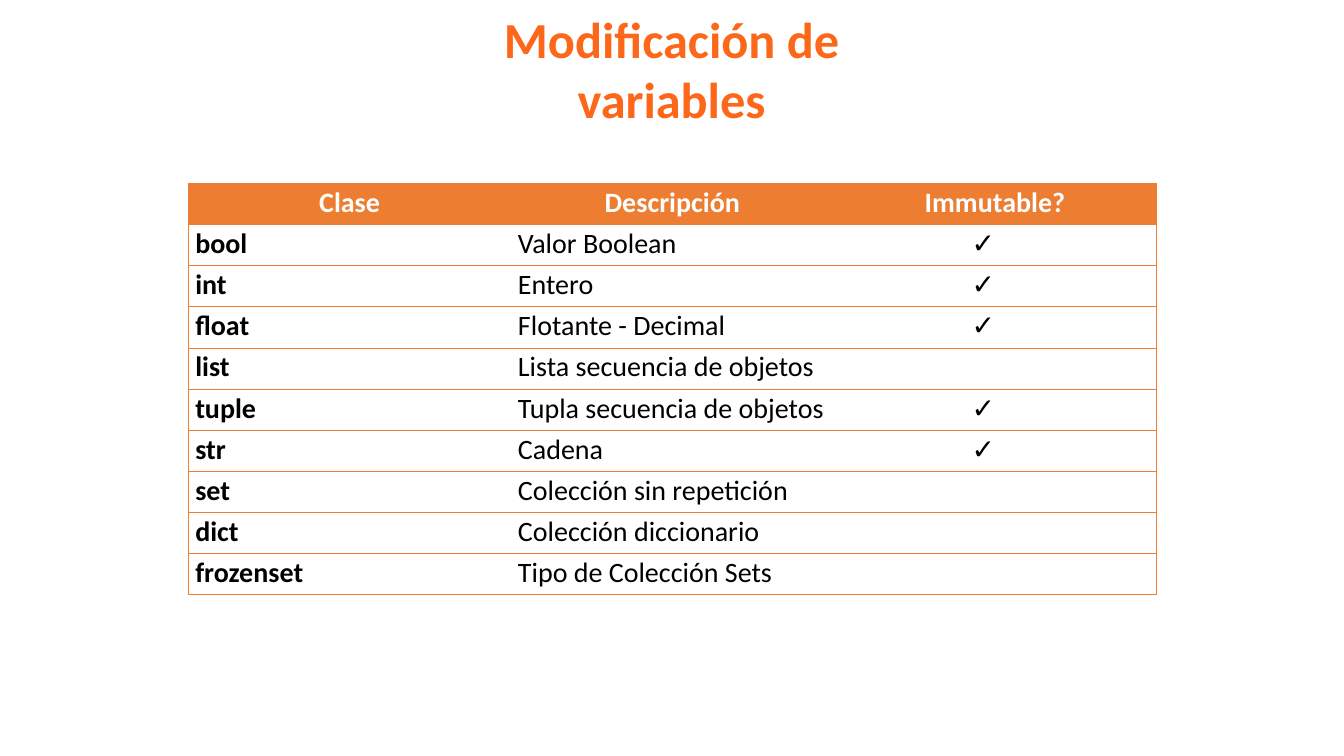
import dataclasses
import typing

import pptx
import pptx.dml.color
import pptx.enum.text
import pptx.oxml.ns
import pptx.util
from lxml import etree

Pt = pptx.util.Pt
RGBColor = pptx.dml.color.RGBColor
Align = pptx.enum.text.PP_ALIGN
Anchor = pptx.enum.text.MSO_ANCHOR

ORANGE = RGBColor(0xED, 0x7D, 0x31)
TITLE_ORANGE = RGBColor(0xFC, 0x67, 0x1A)
WHITE = RGBColor(0xFF, 0xFF, 0xFF)
BLACK = RGBColor(0, 0, 0)

FONT = "Calibri"
CHECK = "✓"
CELL_MARGIN = 5
CHECK_MARGIN = 21.5
COLUMN_WIDTH = 230.5
ROW_HEIGHT = 29.38
TABLE_LEFT = 134.5
TABLE_TOP = 131


@dataclasses.dataclass(frozen=True)
class PythonClass:
    name: str
    description: str
    immutable: bool


HEADERS = ("Clase", "Descripción", "Immutable?")
CLASSES = (
    PythonClass("bool", "Valor Boolean", True),
    PythonClass("int", "Entero", True),
    PythonClass("float", "Flotante - Decimal", True),
    PythonClass("list", "Lista secuencia de objetos", False),
    PythonClass("tuple", "Tupla secuencia de objetos", True),
    PythonClass("str", "Cadena", True),
    PythonClass("set", "Colección sin repetición", False),
    PythonClass("dict", "Colección diccionario", False),
    PythonClass("frozenset", "Tipo de Colección Sets", False),
)


def write_text(text_frame: typing.Any, text: str, *, size: float = 20,
               color: RGBColor = BLACK, bold: bool = False,
               align: Align = Align.CENTER, line_spacing: float = 1.07) -> None:
    paragraph = text_frame.paragraphs[0]
    paragraph.alignment = align
    paragraph.line_spacing = line_spacing
    paragraph.font.size = Pt(size)
    if not text:
        return
    run = paragraph.add_run()
    run.text = text
    run.font.name = FONT
    run.font.size = Pt(size)
    run.font.bold = bold
    run.font.color.rgb = color


def set_borders(cell: typing.Any, visible_sides: str) -> None:
    properties = cell._tc.get_or_add_tcPr()
    for side in "LRTB":
        line = etree.SubElement(properties, pptx.oxml.ns.qn(f"a:ln{side}"))
        if side in visible_sides:
            line.set("w", str(Pt(0.5)))
            fill = etree.SubElement(line, pptx.oxml.ns.qn("a:solidFill"))
            etree.SubElement(fill, pptx.oxml.ns.qn("a:srgbClr"), val=str(ORANGE))
        else:
            etree.SubElement(line, pptx.oxml.ns.qn("a:noFill"))


def format_cell(cell: typing.Any, column: int, fill_color: RGBColor | None) -> None:
    cell.margin_left = cell.margin_right = Pt(CELL_MARGIN)
    cell.margin_top = cell.margin_bottom = 0
    cell.vertical_anchor = Anchor.TOP
    set_borders(cell, ("LTB", "TB", "RTB")[column])
    if fill_color is None:
        cell.fill.background()
    else:
        cell.fill.solid()
        cell.fill.fore_color.rgb = fill_color


def add_title(slide: typing.Any) -> None:
    title = slide.shapes.title
    title.left, title.top = Pt(292.3), Pt(32.4)
    title.width, title.height = Pt(375), Pt(33)
    text_frame = title.text_frame
    text_frame.margin_left = text_frame.margin_right = 0
    text_frame.margin_top = text_frame.margin_bottom = 0
    text_frame.vertical_anchor = Anchor.MIDDLE
    text_frame.word_wrap = False
    text_frame.auto_size = pptx.enum.text.MSO_AUTO_SIZE.NONE
    write_text(text_frame, "Modificación de variables", size=36,
               color=TITLE_ORANGE, bold=True, line_spacing=1.0)


def add_class_table(slide: typing.Any) -> None:
    row_count = len(CLASSES) + 1
    table = slide.shapes.add_table(
        row_count, len(HEADERS), Pt(TABLE_LEFT), Pt(TABLE_TOP),
        Pt(COLUMN_WIDTH * len(HEADERS)), Pt(ROW_HEIGHT * row_count)).table
    table.horz_banding = False
    for column in table.columns:
        column.width = Pt(COLUMN_WIDTH)
    for row in table.rows:
        row.height = Pt(ROW_HEIGHT)

    for column, header in enumerate(HEADERS):
        cell = table.cell(0, column)
        format_cell(cell, column, ORANGE)
        write_text(cell.text_frame, header, color=WHITE, bold=True)

    for row, entry in enumerate(CLASSES, start=1):
        texts = (entry.name, entry.description, CHECK if entry.immutable else "")
        for column, text in enumerate(texts):
            cell = table.cell(row, column)
            format_cell(cell, column, None)
            is_check = column == 2
            if is_check:
                cell.margin_right = Pt(CHECK_MARGIN)
            write_text(cell.text_frame, text, bold=column == 0,
                       align=Align.CENTER if is_check else Align.JUSTIFY)


def main() -> None:
    presentation = pptx.Presentation()
    presentation.slide_width = Pt(960)
    presentation.slide_height = Pt(540)
    slide = presentation.slides.add_slide(presentation.slide_layouts[5])
    add_title(slide)
    add_class_table(slide)
    presentation.save("out.pptx")


if __name__ == "__main__":
    main()
